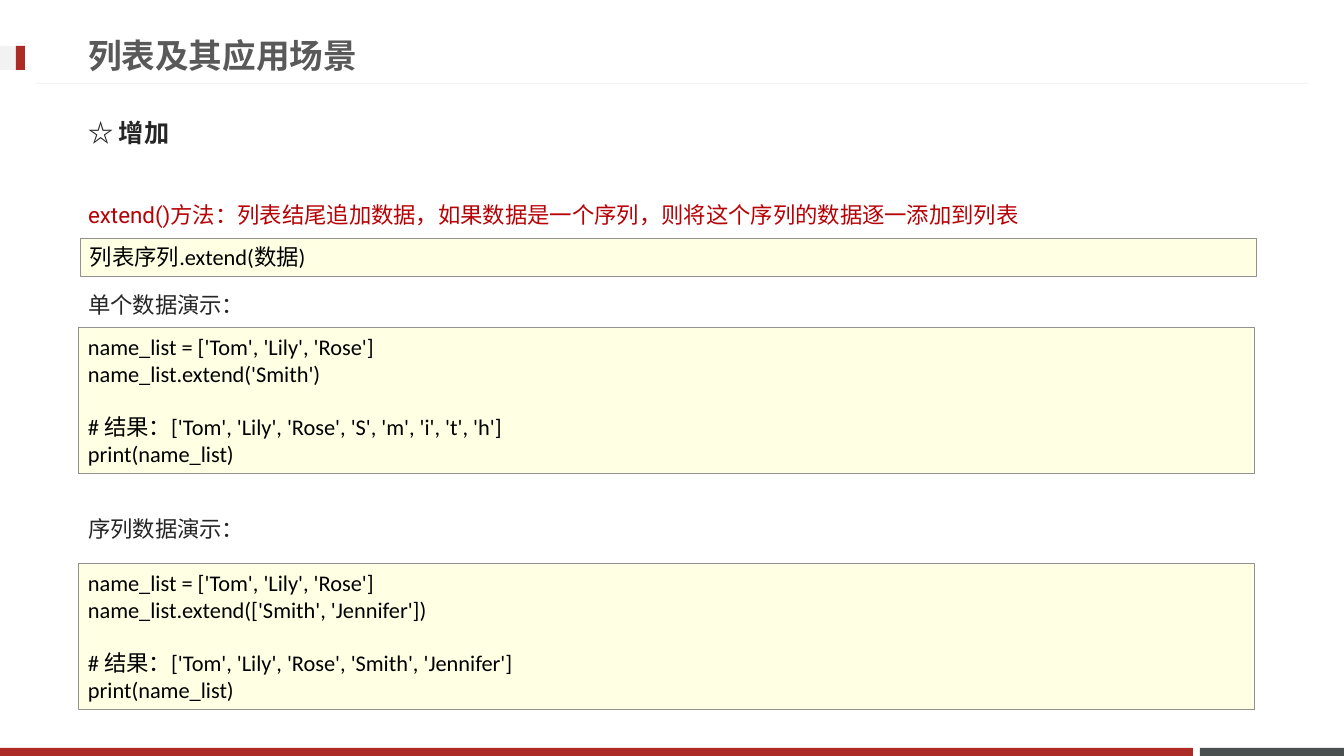
from dataclasses import dataclass

from lxml import etree
from pptx import Presentation
from pptx.dml.color import RGBColor
from pptx.enum.shapes import MSO_CONNECTOR, MSO_SHAPE
from pptx.enum.text import MSO_ANCHOR, MSO_AUTO_SIZE, PP_ALIGN
from pptx.oxml.ns import qn
from pptx.util import Emu, Pt

RECT = MSO_SHAPE.RECTANGLE
STRAIGHT = MSO_CONNECTOR.STRAIGHT
TOP, MIDDLE = MSO_ANCHOR.TOP, MSO_ANCHOR.MIDDLE
NO_FIT = MSO_AUTO_SIZE.NONE
LEFT = PP_ALIGN.LEFT

WIDTH, HEIGHT = 1344, 756
SCALE = 12192000 / WIDTH
CJK = "Noto Sans CJK JP"
RED, PALE, SLATE = "AD2B26", "F2F2F2", "49504F"
CREAM, EDGE = "FFFFE4", "919191"
INK, TITLE, ALERT, BLACK = "262626", "595959", "B60206", "000000"


@dataclass(frozen=True)
class Box:
    x: int
    y: int
    w: int
    h: int


@dataclass(frozen=True)
class Bar:
    box: Box
    fill: str


@dataclass(frozen=True)
class Line:
    text: str
    gap: float = 0
    color: str = INK


@dataclass(frozen=True)
class Style:
    size: int
    font: str
    bold: bool = False
    pitch: float | None = None


@dataclass(frozen=True)
class Code:
    box: Box
    lines: list[Line]


HEAD = Style(24, "Roboto", True)
TOPIC = Style(18, CJK, True)
PROSE = Style(16, "Roboto", pitch=30)
MONO = Style(16, "Calibri")

BARS = [
    Bar(Box(1200, 748, 144, 8), SLATE),
    Bar(Box(0, 748, 1193, 8), RED),
    Bar(Box(0, 46, 25, 24), PALE),
    Bar(Box(16, 46, 9, 24), RED),
]

NOTES = [
    Line("extend()方法：列表结尾追加数据，如果数据是一个序列，则将这个序列的数据逐一添加到列表", color=ALERT),
    Line("单个数据演示：", 34),
    Line("序列数据演示：", 130),
]


def demo(arg: str, result: str) -> list[Line]:
    """Lines of one extend() example."""
    return [
        Line("name_list = ['Tom', 'Lily', 'Rose']", color=BLACK),
        Line(f"name_list.extend({arg})", color=BLACK),
        Line(f"# 结果：['Tom', 'Lily', 'Rose', {result}]", 19, BLACK),
        Line("print(name_list)", color=BLACK),
    ]


CODES = [
    Code(Box(80, 238, 1176, 38), [Line("列表序列.extend(数据)", color=BLACK)]),
    Code(Box(78, 327, 1176, 146), demo("'Smith'", "'S', 'm', 'i', 't', 'h'")),
    Code(Box(78, 563, 1176, 146),
         demo("['Smith', 'Jennifer']", "'Smith', 'Jennifer'")),
]


def px(n: int) -> Emu:
    return Emu(round(n * SCALE))


def rgb(code: str) -> RGBColor:
    return RGBColor.from_string(code)


def place(shape, box: Box) -> None:
    shape.left, shape.top = px(box.x), px(box.y)
    shape.width, shape.height = px(box.w), px(box.h)


def write(shape, lines: list[Line], style: Style, anchor=MIDDLE) -> None:
    frame = shape.text_frame
    frame.text = "\n".join(line.text for line in lines)
    frame.word_wrap = True
    frame.auto_size = NO_FIT
    frame.vertical_anchor = anchor
    for para, line in zip(frame.paragraphs, lines):
        para.alignment = LEFT
        para.line_spacing = Pt(style.pitch) if style.pitch else 1.0
        para.space_before = Pt(line.gap)
        props = para._p.get_or_add_pPr()
        props.set("marL", "0")
        props.set("indent", "0")
        etree.SubElement(props, qn("a:buNone"))
        for run in para.runs:
            font = run.font
            font.size, font.bold, font.name = Pt(style.size), style.bold, style.font
            font.color.rgb = rgb(line.color)
            etree.SubElement(font._element, qn("a:ea"), typeface=CJK)


def rect(slide, box: Box, fill: str, edge: str | None = None):
    shape = slide.shapes.add_shape(
        RECT, px(box.x), px(box.y), px(box.w), px(box.h))
    shape.shadow.inherit = False
    shape.fill.solid()
    shape.fill.fore_color.rgb = rgb(fill)
    if edge:
        shape.line.color.rgb = rgb(edge)
        shape.line.width = Pt(0.25)
    else:
        shape.line.fill.background()
    return shape


def rule(slide) -> None:
    """Draw the hairline below the title."""
    line = slide.shapes.add_connector(
        STRAIGHT, px(1308), px(84), px(36), px(84))
    line.line.color.rgb = rgb(PALE)
    line.line.width = Pt(0.75)
    etree.SubElement(line._element.spPr, qn("a:effectLst"))


def main() -> None:
    deck = Presentation()
    deck.slide_width, deck.slide_height = px(WIDTH), px(HEIGHT)
    slide = deck.slides.add_slide(deck.slide_layouts[3])
    title, topic, notes = slide.placeholders

    place(title, Box(78, 27, 967, 57))
    write(title, [Line("列表及其应用场景", color=TITLE)], HEAD)
    place(topic, Box(78, 104, 1186, 57))
    write(topic, [Line("☆ 增加")], TOPIC)
    place(notes, Box(78, 181, 1186, 465))
    write(notes, NOTES, PROSE, TOP)

    for bar in BARS:
        rect(slide, bar.box, bar.fill)
    rule(slide)
    for code in CODES:
        write(rect(slide, code.box, CREAM, EDGE), code.lines, MONO)
    deck.save("out.pptx")


if __name__ == "__main__":
    main()
